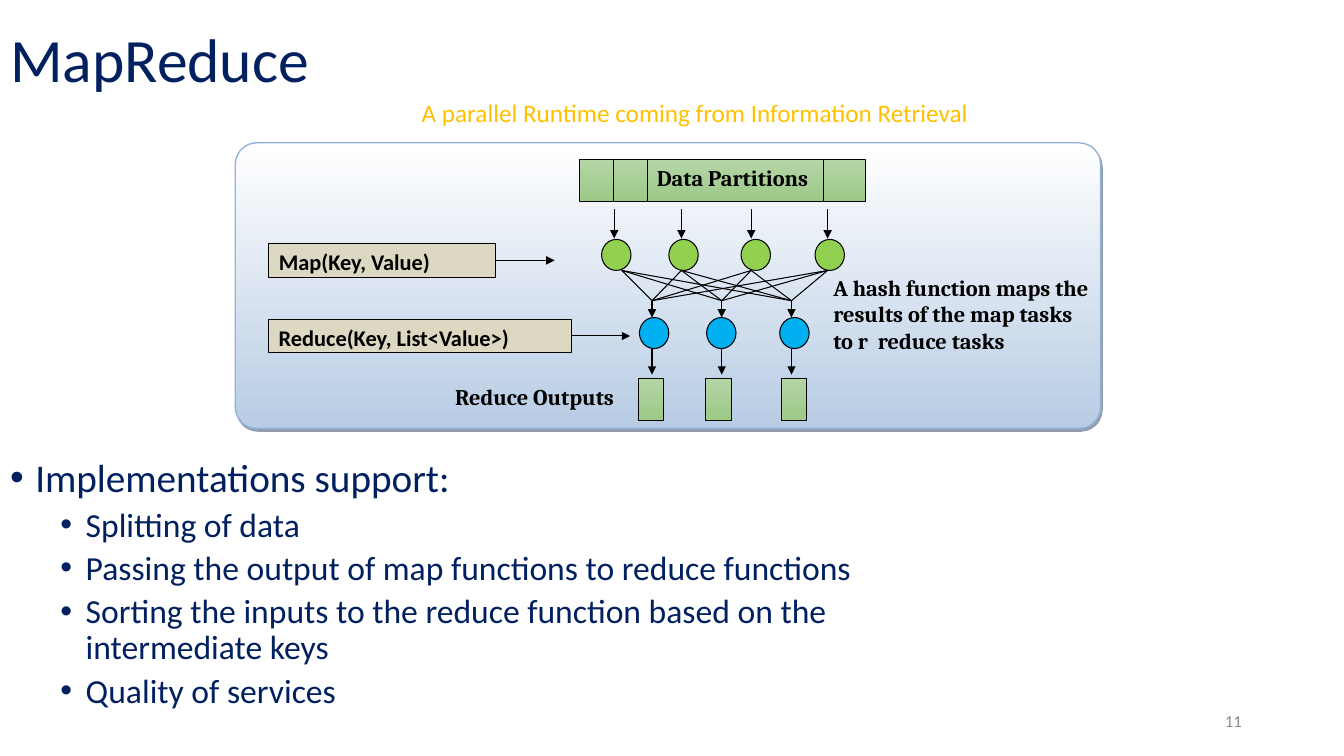
from itertools import product

from lxml import etree
from pptx import Presentation
from pptx.dml.color import RGBColor
from pptx.enum.shapes import MSO_CONNECTOR, MSO_SHAPE
from pptx.enum.text import MSO_ANCHOR, MSO_AUTO_SIZE, PP_ALIGN
from pptx.oxml.ns import qn
from pptx.util import Emu, Inches, Pt

RECT, ROUND, OVAL = MSO_SHAPE.RECTANGLE, MSO_SHAPE.ROUNDED_RECTANGLE, MSO_SHAPE.OVAL
LINE = MSO_CONNECTOR.STRAIGHT
TOP, MIDDLE = MSO_ANCHOR.TOP, MSO_ANCHOR.MIDDLE
LEFT, RIGHT = PP_ALIGN.LEFT, PP_ALIGN.RIGHT
FIXED = MSO_AUTO_SIZE.NONE

NAVY = RGBColor(0x00, 0x20, 0x60)
GOLD = RGBColor(0xFF, 0xC0, 0x00)
GREY = RGBColor(0x8C, 0x8C, 0x8C)
BLACK = RGBColor(0x00, 0x00, 0x00)
WHITE = RGBColor(0xFF, 0xFF, 0xFF)
PALE = RGBColor(0xB8, 0xCC, 0xE4)
EDGE = RGBColor(0x95, 0xB3, 0xD7)
MINT = RGBColor(0xB5, 0xD5, 0xA7)
LEAF = RGBColor(0x9C, 0xC9, 0x87)
LIME = RGBColor(0x92, 0xD0, 0x50)
SKY = RGBColor(0x00, 0xB0, 0xF0)
SAND = RGBColor(0xDD, 0xD8, 0xC2)

CELL = Inches(1) / 12
SANS, SERIF = "Calibri", "Cambria"
ITEMS = [
    ("Implementations support:", 0),
    ("Splitting of data", 1),
    ("Passing the output of map functions to reduce functions", 1),
    ("Sorting the inputs to the reduce function based on the intermediate keys", 1),
    ("Quality of services", 1),
]


def spot(box, col, row):
    """Turn grid cells inside a box into a slide position."""
    return Emu(round((box[0] + col) * CELL)), Emu(round((box[1] + row) * CELL))


def area(box, cells):
    """Turn a cell rectangle inside a box into left, top, width, height."""
    col, row, wide, high = cells
    return spot(box, col, row) + spot((0, 0), wide, high)


def write(para, text, size, color, font=SANS, bold=False):
    """Add one formatted run to a paragraph."""
    run = para.add_run()
    run.text = text
    run.font.size, run.font.name, run.font.bold = Pt(size), font, bold
    run.font.color.rgb = color


def form(slide, box, kind, cells, fill, edge=BLACK, width=0.75):
    """Draw a shape with a plain fill or a downward blend of two colours."""
    shape = slide.shapes.add_shape(kind, *area(box, cells))
    shape.shadow.inherit = False
    if isinstance(fill, tuple) and not isinstance(fill, RGBColor):
        shape.fill.gradient()
        shape.fill.gradient_angle = 270
        for stop, color, share in zip(shape.fill.gradient_stops, fill, (0, 1)):
            stop.color.rgb, stop.position = color, share
    else:
        shape.fill.solid()
        shape.fill.fore_color.rgb = fill
    shape.line.color.rgb, shape.line.width = edge, Pt(width)
    return shape


def link(slide, box, start, end, arrow=False, width=0.75):
    """Draw a straight line between two cells, with an arrowhead if asked."""
    line = slide.shapes.add_connector(LINE, *spot(box, *start), *spot(box, *end))
    line.line.color.rgb, line.line.width = BLACK, Pt(width)
    if arrow:
        etree.SubElement(line.line._get_or_add_ln(), qn("a:tailEnd"), type="triangle")
    etree.SubElement(line._element.spPr, qn("a:effectLst"))
    return line


def note(slide, box, cells, text, size, color, font=SANS, bold=False, wrap=True):
    """Place a text box and return it."""
    label = slide.shapes.add_textbox(*area(box, cells))
    label.text_frame.word_wrap = wrap
    write(label.text_frame.paragraphs[0], text, size, color, font, bold)
    return label


def panel(slide, box):
    """Draw the rounded backdrop with its soft lower edge."""
    back = form(slide, box, ROUND, (0, 0, *box[2:]), (WHITE, PALE), EDGE, 1)
    back.adjustments[0] = 0.076
    glow = back._element.spPr.find(qn("a:effectLst"))
    cast = etree.SubElement(glow, qn("a:outerShdw"), blurRad="0",
                            dist=str(Pt(2.2)), dir=str(63 * 60000), rotWithShape="0")
    tint = etree.SubElement(cast, qn("a:srgbClr"), val="243F60")
    etree.SubElement(tint, qn("a:alpha"), val="50000")


def parts(slide, box):
    """Draw the split data bar and its caption."""
    form(slide, box, RECT, (41, 2, 34, 5), (MINT, LEAF), width=0.5)
    for col in (45, 49, 70):
        link(slide, box, (col, 2), (col, 7), width=0.5)
    note(slide, box, (49, 2, 21, 5), "Data Partitions", 16, BLACK, SERIF, True)


def call(slide, box, cells, text):
    """Draw a function label with an arrow to its row of tasks."""
    tag = form(slide, box, RECT, cells, SAND)
    tag.text_frame.vertical_anchor = TOP
    para = tag.text_frame.paragraphs[0]
    para.alignment = LEFT
    write(para, text, 16, BLACK, bold=True)
    col, row, wide, high = cells
    edge, mid = col + wide, row + high / 2
    link(slide, box, (edge, mid), (edge + 7, mid), True).begin_connect(tag, 3)


def tasks(slide, box):
    """Draw map and reduce tasks, the fan between them and the outputs."""
    for left, col in zip((43.6, 51.6, 60.2, 69), (45.1, 53.1, 61.4, 70.5)):
        form(slide, box, OVAL, (left, 11.5, 3.5, 3.7), LIME)
        link(slide, box, (col, 7.9), (col, 11.4), True)
    cols = (49.6, 57.9, 66.2)
    for top, foot in product((46, 53.1, 61.4, 70.5), cols):
        link(slide, box, (top, 15.2), (foot, 18.8))
    for left, col, out in zip((48.1, 56.1, 64.8), cols, (48, 56, 65)):
        form(slide, box, OVAL, (left, 20.8, 3.5, 3.7), SKY)
        link(slide, box, (col, 18.8), (col, 20.8), True)
        link(slide, box, (col, 24.5), (col, 27.6), True)
        form(slide, box, RECT, (out, 28, 3, 5), (MINT, LEAF), width=0.5)
    note(slide, box, (25, 28, 22, 5), "Reduce Outputs", 16, BLACK, SERIF, True)
    note(slide, box, (70, 15, 33, 14),
         "A hash function maps the results of the map tasks to r  reduce tasks",
         16, BLACK, SERIF, True)


def head(slide, box):
    """Fill and place the title."""
    title = slide.shapes.title
    title.left, title.top, title.width, title.height = area(box, (0, 0, *box[2:]))
    title.text_frame.vertical_anchor = MIDDLE
    para = title.text_frame.paragraphs[0]
    para.alignment, para.line_spacing = LEFT, 0.9
    write(para, "MapReduce", 44, NAVY)


def points(slide, box):
    """Fill and place the bulleted list."""
    body = slide.placeholders[1]
    body.left, body.top, body.width, body.height = area(box, (0, 0, *box[2:]))
    frame = body.text_frame
    frame.auto_size = FIXED
    for pos, (text, level) in enumerate(ITEMS):
        para = frame.add_paragraph() if pos else frame.paragraphs[0]
        para.level, para.line_spacing = level, 0.9
        para.space_before = Pt(5 if level else 10)
        write(para, text, 24 if level else 28, NAVY)
        props = para._p.get_or_add_pPr()
        props.set("marL", str(Inches(0.25 + level / 2)))
        props.set("indent", str(-Inches(0.25)))
        etree.SubElement(props, qn("a:buFont"), typeface="Arial")
        etree.SubElement(props, qn("a:buChar"), char="•")


def foot(slide, box):
    """Place the slide number."""
    page = note(slide, box, (0, 0, *box[2:]), "11", 12, GREY)
    page.text_frame.vertical_anchor = MIDDLE
    page.text_frame.paragraphs[0].alignment = RIGHT


def main():
    """Build the slide and save it."""
    deck = Presentation()
    deck.slide_width, deck.slide_height = Inches(13.33), Inches(7.5)
    slide = deck.slides.add_slide(deck.slide_layouts[1])
    foot(slide, (113, 83.4, 36, 4.8))
    head(slide, (0, 0, 108, 15))
    points(slide, (0, 54, 106, 32))
    box = (28, 17, 103, 34)
    panel(slide, box)
    parts(slide, box)
    call(slide, box, (4, 12, 27, 4), "Map(Key, Value)")
    call(slide, box, (4, 21, 36, 4), "Reduce(Key, List<Value>)")
    tasks(slide, box)
    note(slide, (49, 11), (0, 0, 68.9, 4.8),
         "A parallel Runtime coming from Information Retrieval", 18, GOLD, wrap=False)
    deck.save("out.pptx")


if __name__ == "__main__":
    main()
